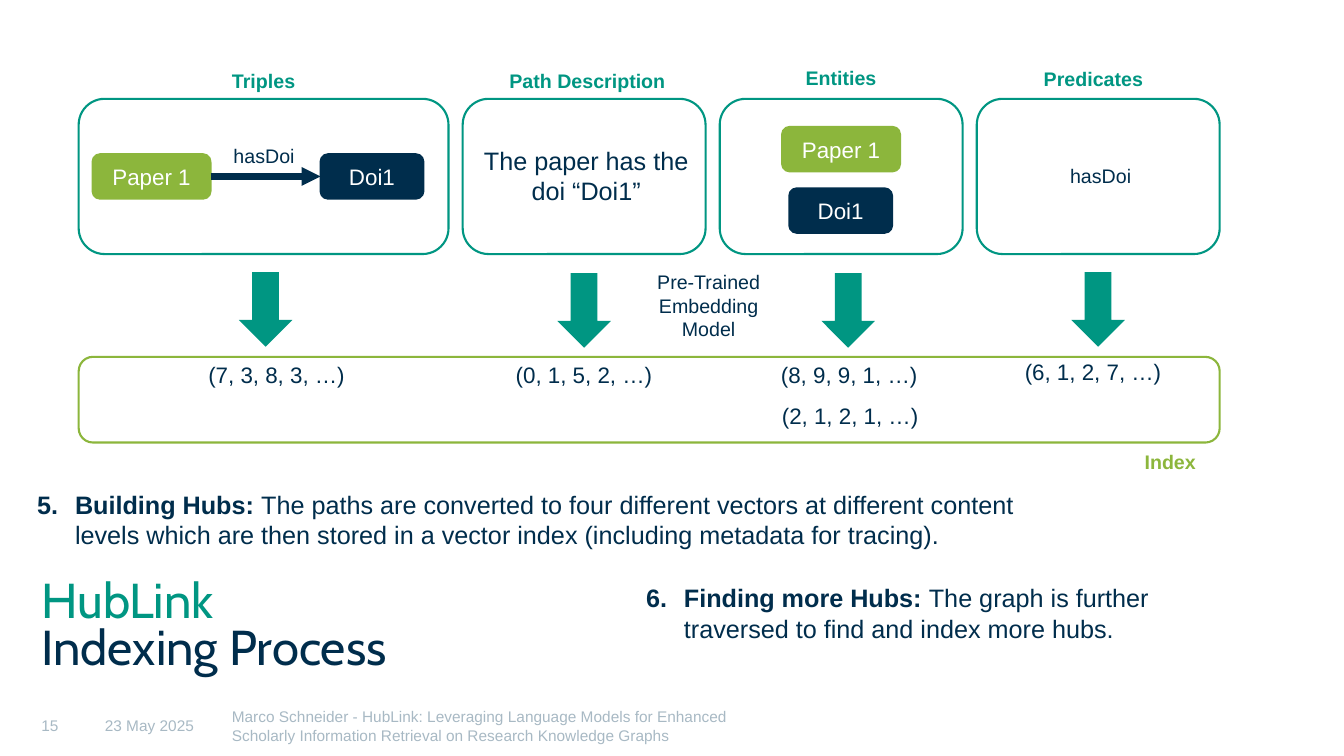
"""Build the HubLink indexing process slide."""
from dataclasses import dataclass

from lxml.etree import SubElement
from pptx import Presentation
from pptx.dml.color import RGBColor
from pptx.enum.shapes import MSO_CONNECTOR, MSO_SHAPE
from pptx.enum.text import MSO_ANCHOR, MSO_AUTO_SIZE, PP_ALIGN
from pptx.oxml.ns import qn
from pptx.shapes.autoshape import Shape
from pptx.slide import Slide
from pptx.text.text import Font
from pptx.util import Pt

COLORS = {"teal": "009682", "navy": "002D4C", "green": "8CB63C", "gray": "A8B9C4", "white": "FFFFFF"}
FRAME_TOP, FRAME_HEIGHT = 70.6, 110.9


@dataclass
class Label:
    text: str
    center: float
    top: float
    width: float = 129
    height: float = 24.5
    size: float = 14
    color: str = "navy"
    bold: bool = False


@dataclass
class Column:
    left: float
    width: float
    title: Label
    arrow_center: float
    arrow_top: float


@dataclass
class Entity:
    text: str
    left: float
    top: float
    width: float
    color: str


@dataclass
class Step:
    number: int
    heading: str
    text: str
    left: float
    top: float
    width: float
    height: float


@dataclass
class FooterItem:
    text: str
    left: float
    width: float


def title_label(text: str, center: float, top: float) -> Label:
    """Return a column heading."""
    return Label(text, center, top, color="teal", bold=True)


def vector_label(text: str, center: float, top: float) -> Label:
    """Return an embedding vector label."""
    return Label(text, center, top, width=136, height=26.6, size=16)


COLUMNS = [
    Column(56.2, 264.2, title_label("Triples", 188.3, 45.4), 189.7, 194.4),
    Column(330.5, 173.5, title_label("Path Description", 419.6, 45.4), 417.2, 195.1),
    Column(514.1, 173.5, title_label("Entities", 600.8, 43.2), 605.9, 195.1),
    Column(697.7, 173.5, title_label("Predicates", 781, 44), 784.4, 194.4),
]
LABELS = [
    Label("hasDoi", 188.6, 99.4, width=98),
    Label("The paper has the doi “Doi1”", 418.7, 100.1, width=173.5, height=51, size=18),
    Label("hasDoi", 786.2, 113.8, width=98),
    vector_label("(7, 3, 8, 3, …)", 197.6, 254.2),
    vector_label("(0, 1, 5, 2, …)", 417.2, 254.2),
    vector_label("(8, 9, 9, 1, …)", 606.6, 254.2),
    vector_label("(2, 1, 2, 1, …)", 607.3, 283.7),
    vector_label("(6, 1, 2, 7, …)", 780.8, 252),
    Label("Index", 835.9, 318.2, width=98, color="green", bold=True),
    Label("Pre-Trained Embedding Model", 506.2, 189.4, width=98, height=58.2),
]
TRIPLE = [
    Entity("Paper 1", 66.2, 110.2, 84.2, "green"),
    Entity("Doi1", 229, 110.2, 73.4, "navy"),
]
ENTITIES = [
    Entity("Paper 1", 558.7, 90.7, 84.2, "green"),
    Entity("Doi1", 563.8, 134.6, 73.4, "navy"),
]
STEPS = [
    Step(5, "Building Hubs: ",
         "The paths are converted to four different vectors at different content levels "
         "which are then stored in a vector index (including metadata for tracing).",
         19.4, 345.6, 717.8, 51),
    Step(6, "Finding more Hubs: ", "The graph is further traversed to find and index more hubs.",
         454.3, 412.6, 442, 72.7),
]
FOOTER = [
    FooterItem("15", 29.5, 45.4),
    FooterItem("23 May 2025", 74.9, 90.7),
    FooterItem("Marco Schneider - HubLink: Leveraging Language Models for Enhanced "
               "Scholarly Information Retrieval on Research Knowledge Graphs", 165.6, 360),
]


def rgb(color: str) -> RGBColor:
    """Return a named colour."""
    return RGBColor.from_string(COLORS[color])


def style_font(font: Font, size: float, color: str, name: str = "Arial", bold: bool = False) -> None:
    """Format a font."""
    font.name, font.size, font.bold = name, Pt(size), bold
    font.color.rgb = rgb(color)


def place(shape: Shape, left: float, top: float, width: float, height: float) -> None:
    """Move and size a shape."""
    shape.left, shape.top, shape.width, shape.height = Pt(left), Pt(top), Pt(width), Pt(height)


def add_box(slide: Slide, kind: MSO_SHAPE, left: float, top: float, width: float, height: float,
            fill: str = "", line: str = "") -> Shape:
    """Add a preset shape with optional fill and line."""
    shape = slide.shapes.add_shape(kind, Pt(left), Pt(top), Pt(width), Pt(height))
    shape.shadow.inherit = False
    if fill:
        shape.fill.solid()
        shape.fill.fore_color.rgb = rgb(fill)
    else:
        shape.fill.background()
    if line:
        shape.line.color.rgb = rgb(line)
        shape.line.width = Pt(1.5)
    else:
        shape.line.fill.background()
    return shape


def add_entity(slide: Slide, entity: Entity) -> Shape:
    """Add a filled graph node."""
    shape = add_box(slide, MSO_SHAPE.ROUNDED_RECTANGLE, entity.left, entity.top, entity.width, 31.7,
                    entity.color, entity.color)
    shape.text_frame.vertical_anchor = MSO_ANCHOR.MIDDLE
    paragraph = shape.text_frame.paragraphs[0]
    paragraph.text, paragraph.alignment = entity.text, PP_ALIGN.CENTER
    style_font(paragraph.font, 16, "white")
    return shape


def add_label(slide: Slide, label: Label) -> None:
    """Add a centred text label."""
    box = slide.shapes.add_textbox(Pt(label.center - label.width / 2), Pt(label.top),
                                   Pt(label.width), Pt(label.height))
    box.text_frame.word_wrap = True
    paragraph = box.text_frame.paragraphs[0]
    paragraph.text, paragraph.alignment = label.text, PP_ALIGN.CENTER
    style_font(paragraph.font, label.size, label.color, bold=label.bold)


def add_column(slide: Slide, column: Column) -> None:
    """Add a framed column with its heading and arrow."""
    add_box(slide, MSO_SHAPE.ROUNDED_RECTANGLE, column.left, FRAME_TOP, column.width, FRAME_HEIGHT, line="teal")
    add_box(slide, MSO_SHAPE.DOWN_ARROW, column.arrow_center - 19.1, column.arrow_top, 38.2, 53.3, "teal")
    add_label(slide, column.title)


def add_relation(slide: Slide, subject: Shape, target: Shape) -> None:
    """Join two nodes with an arrow."""
    connector = slide.shapes.add_connector(MSO_CONNECTOR.STRAIGHT, 0, 0, 0, 0)
    connector.begin_connect(subject, 3)
    connector.end_connect(target, 1)
    connector.line.color.rgb = rgb("navy")
    connector.line.width = Pt(4.5)
    SubElement(connector.line._get_or_add_ln(), qn("a:tailEnd"), type="triangle")
    SubElement(connector._element.spPr, qn("a:effectLst"))


def fill_step(shape: Shape, step: Step) -> None:
    """Write a numbered step into a body placeholder."""
    place(shape, step.left, step.top, step.width, step.height)
    shape.text_frame.auto_size = MSO_AUTO_SIZE.NONE
    paragraph = shape.text_frame.paragraphs[0]
    properties = paragraph._p.get_or_add_pPr()
    properties.set("marL", str(Pt(27)))
    properties.set("indent", str(Pt(-27)))
    SubElement(properties, qn("a:buFont"), typeface="+mj-lt")
    SubElement(properties, qn("a:buAutoNum"), type="arabicPeriod", startAt=str(step.number))
    paragraph.space_before = Pt(0)
    for text, bold in ((step.heading, True), (step.text, False)):
        run = paragraph.add_run()
        run.text = text
        style_font(run.font, 18, "navy", bold=bold)


def fill_title(shape: Shape) -> None:
    """Write the two-colour title."""
    place(shape, 29.5, 414.7, 442, 79.9)
    frame = shape.text_frame
    frame.auto_size, frame.vertical_anchor = MSO_AUTO_SIZE.NONE, MSO_ANCHOR.TOP
    frame.margin_left = frame.margin_top = frame.margin_right = frame.margin_bottom = 0
    paragraph = frame.paragraphs[0]
    paragraph.alignment, paragraph.line_spacing = PP_ALIGN.LEFT, 0.8
    for text, color in (("HubLink", "teal"), ("Indexing Process", "navy")):
        if paragraph.runs:
            paragraph.add_line_break()
        run = paragraph.add_run()
        run.text = text
        style_font(run.font, 35, color, "Cabin")


def add_footer_item(slide: Slide, item: FooterItem) -> None:
    """Add one footer text."""
    frame = slide.shapes.add_textbox(Pt(item.left), Pt(493.9), Pt(item.width), Pt(46.1)).text_frame
    frame.word_wrap, frame.vertical_anchor = True, MSO_ANCHOR.MIDDLE
    frame.margin_left = frame.margin_right = frame.margin_bottom = 0
    frame.margin_top = Pt(2.9)
    paragraph = frame.paragraphs[0]
    paragraph.text = item.text
    style_font(paragraph.font, 11, "gray")


def main() -> None:
    """Create and save the presentation."""
    presentation = Presentation()
    presentation.slide_width, presentation.slide_height = Pt(960), Pt(540)
    slide = presentation.slides.add_slide(presentation.slide_layouts[3])
    title, *bodies = slide.placeholders
    fill_title(title)
    for body, step in zip(bodies, STEPS):
        fill_step(body, step)
    for item in FOOTER:
        add_footer_item(slide, item)
    for column in COLUMNS:
        add_column(slide, column)
    subject, target = [add_entity(slide, entity) for entity in TRIPLE]
    add_relation(slide, subject, target)
    for entity in ENTITIES:
        add_entity(slide, entity)
    add_box(slide, MSO_SHAPE.ROUNDED_RECTANGLE, 56.2, 254.9, 815, 61.2, line="green")
    for label in LABELS:
        add_label(slide, label)
    presentation.save("out.pptx")


if __name__ == "__main__":
    main()
